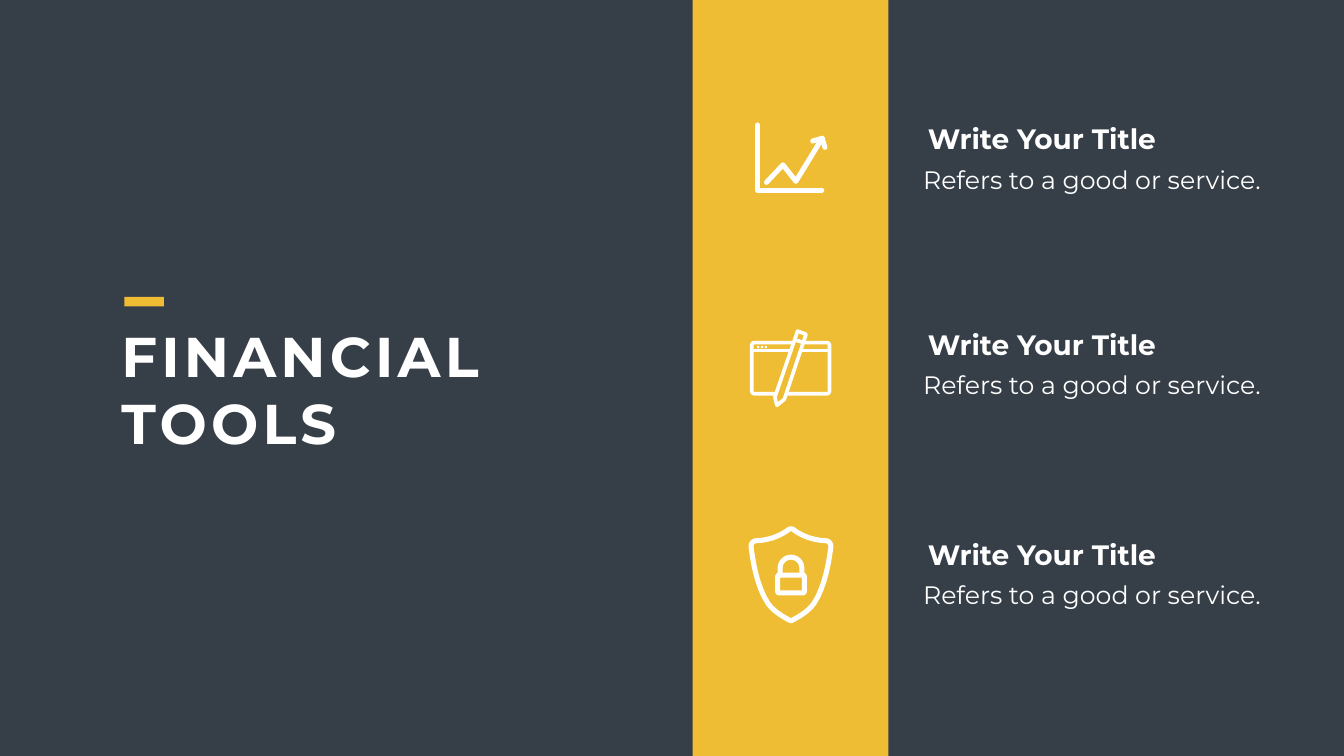
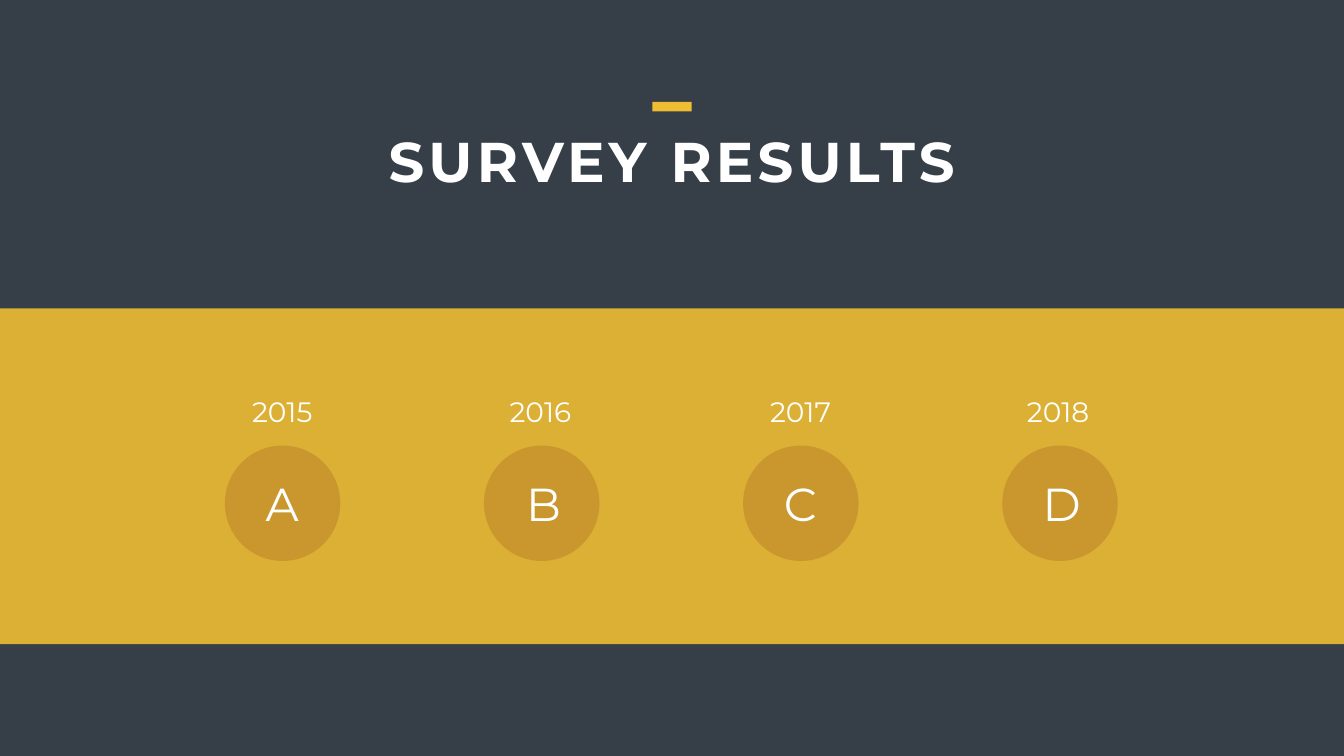
"""Build a dark two-slide deck: financial tools and survey results."""
from math import cos, pi, sin

from lxml import etree
from pptx import Presentation
from pptx.dml.color import RGBColor
from pptx.enum import shapes, text
from pptx.oxml import ns
from pptx.util import Pt

SLATE = RGBColor(0x36, 0x3E, 0x48)
GOLD = RGBColor(0xEF, 0xBD, 0x33)
BRONZE = RGBColor(0xC9, 0x97, 0x2E)
WHITE = RGBColor(0xFF, 0xFF, 0xFF)
FONT = "Montserrat"
WIDTH, HEIGHT = 1919.52, 1080
RECT, OVAL = shapes.MSO_SHAPE.RECTANGLE, shapes.MSO_SHAPE.OVAL
ROUNDED = shapes.MSO_SHAPE.ROUNDED_RECTANGLE
LEFT, CENTER = text.PP_ALIGN.LEFT, text.PP_ALIGN.CENTER

TOOLS_TITLE = "FINANCIAL TOOLS"
TOOLS = [
    {"title": "Write Your Title", "caption": "Refers to a good or service.",
     "top": 170.6, "icon": "chart", "middle": 225},
    {"title": "Write Your Title", "caption": "Refers to a good or service.",
     "top": 463.7, "icon": "browser", "middle": 526},
    {"title": "Write Your Title", "caption": "Refers to a good or service.",
     "top": 763.9, "icon": "shield", "middle": 821},
]
SURVEY_TITLE = "SURVEY RESULTS"
SURVEY = [("2015", 318.2, "A", 318.2), ("2016", 686.9, "B", 691.2),
          ("2017", 1058.4, "C", 1058.4), ("2018", 1426.3, "D", 1431.4)]

STRIP = (989.3, 0, 279.4, HEIGHT)
ICON_CENTER = 1129.7
BAND = (0, 440.6, WIDTH, 479.5)
CIRCLE_LEFT, CIRCLE_TOP, CIRCLE_SIZE, CIRCLE_STEP = 321.1, 636.5, 164.9, 370.1

AXES = [(-48, -46.5), (-48, 46.5), (44, 46.5)]
TREND = [(-35, 35.5), (-11.5, 10.5), (7, 34), (44.5, -27.5)]
ARROWHEAD = [(31, -23.5), (44.5, -27.5), (48.5, -14.5)]
PENCIL = [(9.5, -53), (21.5, -48.5), (-9.5, 44.5), (-20, 53), (-23, 41.5)]
FERRULE = [(7, -40), (17, -37)]
SHIELD_CURVES = [
    [(0, -65.5), (-1.5, -65.5), (-3, -65), (-4, -64)],
    [(-4, -64), (-11.5, -58.5), (-26.5, -49.5), (-49.5, -48.5)],
    [(-49.5, -48.5), (-54, -48.5), (-57, -45), (-57, -40)],
    [(-57, -40), (-55, -24), (-49.5, 16.5), (-32.5, 41.5)],
    [(-32.5, 41.5), (-23.5, 54.5), (-3, 64.5), (0, 66)],
]


def paint(sp, fill=None, line=None, weight=0):
    """Set a shape's fill and rounded outline, and drop its shadow."""
    sp.shadow.inherit = False
    if fill is None:
        sp.fill.background()
    else:
        sp.fill.solid()
        sp.fill.fore_color.rgb = fill
    if line is None:
        sp.line.fill.background()
    else:
        sp.line.color.rgb = line
        sp.line.width = Pt(weight)
        ln = sp.line._get_or_add_ln()
        ln.set("cap", "rnd")
        etree.SubElement(ln, ns.qn("a:round"))
    return sp


def add_preset(parent, kind, box, **style):
    """Add a preset shape at a box given in points."""
    return paint(parent.shapes.add_shape(kind, *map(Pt, box)), **style)


def add_path(group, points, middle, weight=7.2, close=False, fill=None):
    """Draw a white stroke through points around the icon's center."""
    spots = [(Pt(ICON_CENTER + x), Pt(middle + y)) for x, y in points]
    builder = group.shapes.build_freeform(*spots[0])
    builder.add_line_segments(spots[1:], close=close)
    return paint(builder.convert_to_shape(), fill, WHITE, weight)


def add_frame(group, left, top, right, bottom, middle, weight, corner):
    """Draw a rounded white frame around the icon's center."""
    box = (ICON_CENTER + left, middle + top, right - left, bottom - top)
    sp = add_preset(group, ROUNDED, box, line=WHITE, weight=weight)
    sp.adjustments[0] = corner


def bezier(p0, p1, p2, p3, steps=8):
    """Return points along a cubic curve, without its end."""
    result = []
    for i in range(steps):
        t = i / steps
        weights = ((1 - t) ** 3, 3 * t * (1 - t) ** 2, 3 * t * t * (1 - t), t ** 3)
        result.append(tuple(sum(w * p[k] for w, p in zip(weights, (p0, p1, p2, p3)))
                            for k in (0, 1)))
    return result


def draw_chart(group, middle):
    """Draw axes and a rising arrow."""
    for points in (AXES, TREND, ARROWHEAD):
        add_path(group, points, middle)


def draw_browser(group, middle):
    """Draw a browser window with a pencil."""
    add_frame(group, -56, -36.5, 55, 36.5, middle, 5.2, 0.05)
    add_path(group, [(-56, -25), (55, -25)], middle, 3.6)
    for x in (-47, -41.5, -36):
        box = (ICON_CENTER + x - 1.8, middle - 32, 3.6, 3.6)
        add_preset(group, OVAL, box, fill=WHITE)
    add_path(group, PENCIL, middle, 5.2, close=True, fill=GOLD)
    add_path(group, FERRULE, middle, 5.2)


def draw_shield(group, middle):
    """Draw a shield with a padlock."""
    half = [p for curve in SHIELD_CURVES for p in bezier(*curve)]
    mirrored = [(-x, y) for x, y in reversed(half[1:])]
    add_path(group, half + [SHIELD_CURVES[-1][-1]] + mirrored, middle, close=True)
    add_frame(group, -19, 0.5, 19, 26, middle, 7.2, 0.08)
    arc = [(-15.5 * cos(pi * i / 16), -9.5 - 15.5 * sin(pi * i / 16))
           for i in range(17)]
    add_path(group, [(-15.5, 0.5)] + arc + [(15.5, 0.5)], middle)


ICONS = {"chart": draw_chart, "browser": draw_browser, "shield": draw_shield}


def write(sp, words, size, bold=False, align=LEFT, inset=(7.2, 3.6)):
    """Write one formatted run into a shape and return it."""
    tf = sp.text_frame
    tf.word_wrap = True
    tf.auto_size = text.MSO_AUTO_SIZE.NONE
    tf.vertical_anchor = text.MSO_ANCHOR.TOP
    tf.margin_left = tf.margin_right = Pt(inset[0])
    tf.margin_top = tf.margin_bottom = Pt(inset[1])
    p = tf.paragraphs[0]
    p.alignment = align
    r = p.add_run()
    r.text = words
    r.font.name, r.font.size, r.font.bold = FONT, Pt(size), bold
    r.font.color.rgb = WHITE
    return r


def add_text(s, box, words, size, **style):
    """Add a text box at a box given in points."""
    write(s.shapes.add_textbox(*map(Pt, box)), words, size, **style)


def add_titled_slide(prs, title, box, accent, align):
    """Add a slide with a spaced title and its gold accent bar."""
    s = prs.slides.add_slide(prs.slide_layouts[5])
    sp = s.shapes.title
    sp.left, sp.top, sp.width, sp.height = map(Pt, box)
    r = write(sp, title, 80, bold=True, align=align)
    r.font._element.set("spc", "600")
    add_preset(s, RECT, (*accent, 56.2, 13.7), fill=GOLD)
    return s


def build_tools(prs):
    """Build the tools slide."""
    s = add_titled_slide(prs, TOOLS_TITLE, (166.3, 455.8, 542.9, 200.9),
                         (177.8, 424.1), LEFT)
    add_preset(s, RECT, STRIP, fill=GOLD)
    for tool in TOOLS:
        ICONS[tool["icon"]](s.shapes.add_group_shape(), tool["middle"])
        top = tool["top"]
        add_text(s, (1318.3, top, 408.2, 55.4), tool["title"], 40, bold=True)
        add_text(s, (1301, top + 55.4, 517, 61.2), tool["caption"], 36,
                 inset=(17.3, 8.6))


def build_survey(prs):
    """Build the survey slide."""
    s = add_titled_slide(prs, SURVEY_TITLE, (273.6, 177.1, 1372.3, 104.4),
                         (931.7, 145.4), CENTER)
    band = add_preset(s, RECT, BAND, fill=GOLD)
    color = band.fill._xPr.find(ns.qn("a:solidFill"))[0]
    etree.SubElement(color, ns.qn("a:alpha"), val="90000")
    for i, (year, year_left, letter, letter_left) in enumerate(SURVEY):
        add_text(s, (year_left, 560.2, 169.9, 55.4), year, 40, align=CENTER)
        add_preset(s, OVAL, (CIRCLE_LEFT + i * CIRCLE_STEP, CIRCLE_TOP,
                             CIRCLE_SIZE, CIRCLE_SIZE), fill=BRONZE)
        add_text(s, (letter_left, 676.1, 169.9, 87.1), letter, 66, align=CENTER)


def main():
    """Build and save the deck."""
    prs = Presentation()
    prs.slide_width, prs.slide_height = Pt(WIDTH), Pt(HEIGHT)
    fill = prs.slide_master.background.fill
    fill.solid()
    fill.fore_color.rgb = SLATE
    build_tools(prs)
    build_survey(prs)
    prs.save("out.pptx")


if __name__ == "__main__":
    main()
